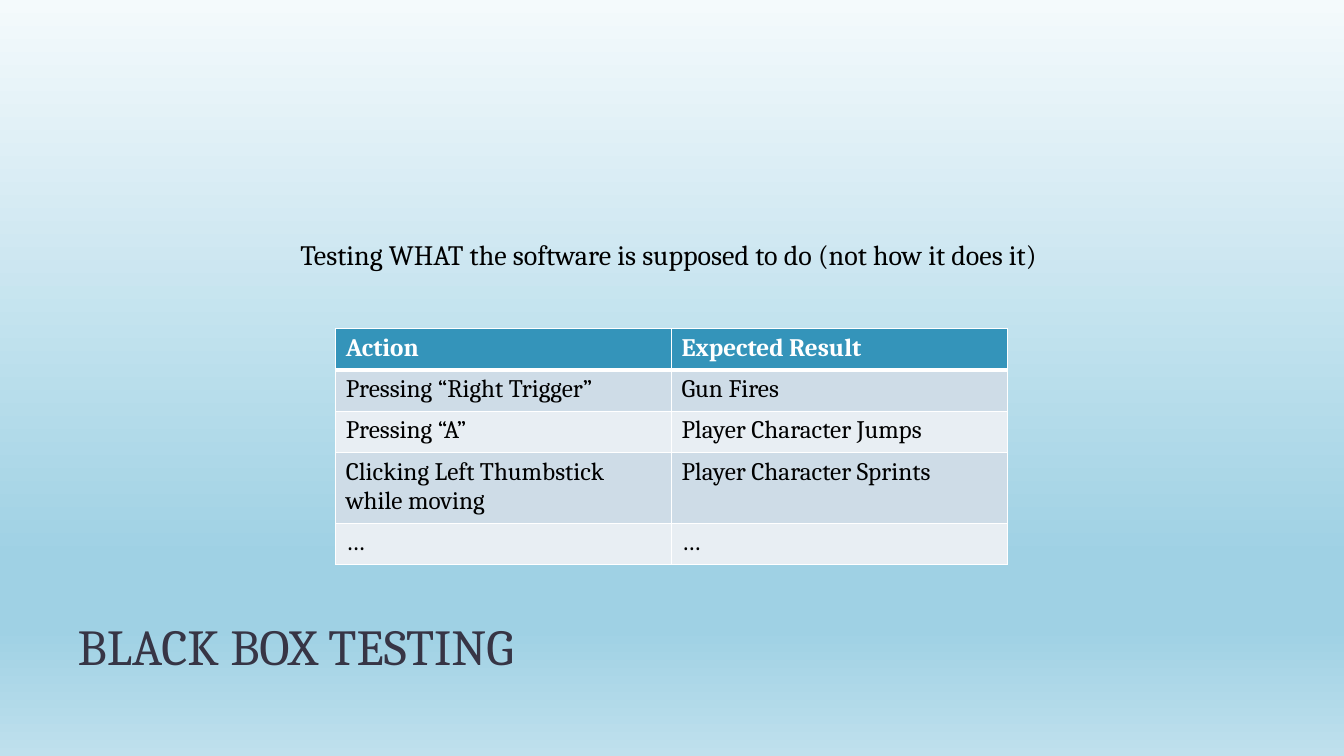
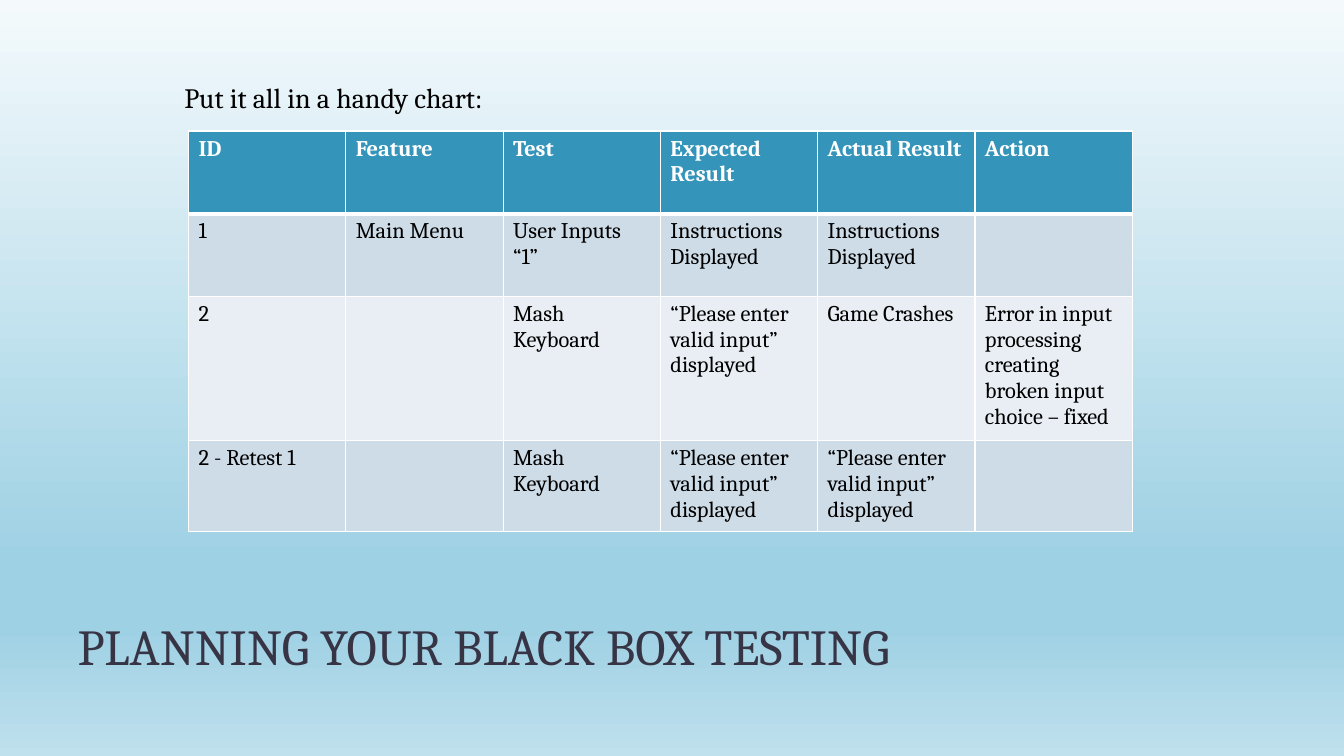
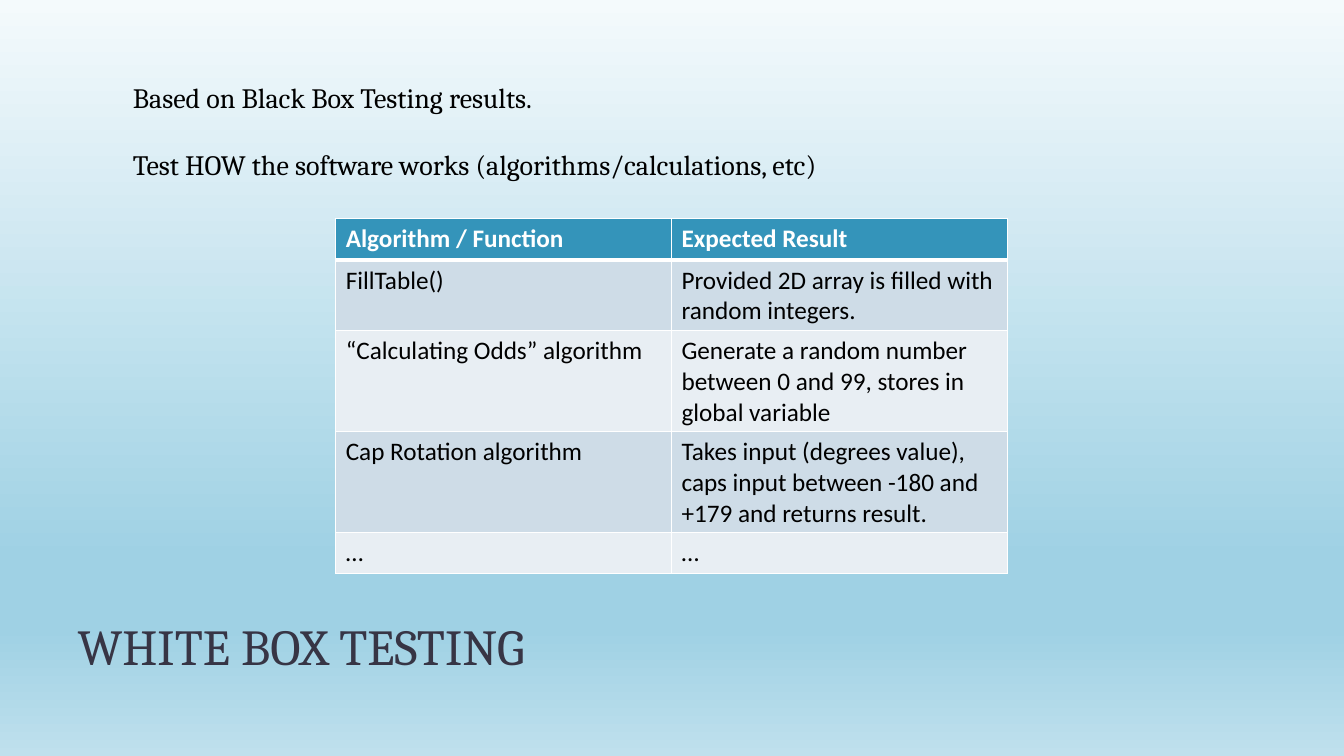
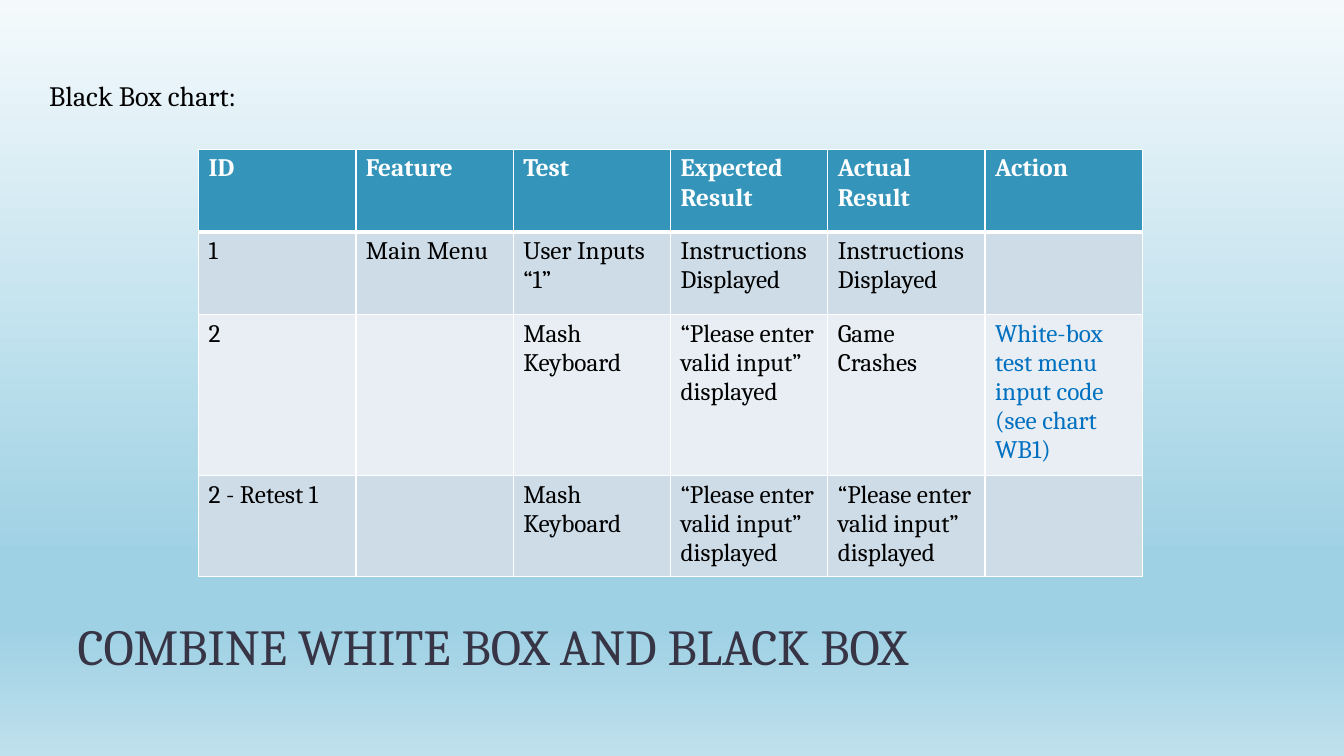
from dataclasses import dataclass

from pptx import Presentation
from pptx.dml.color import RGBColor as RGB
from pptx.enum.text import MSO_ANCHOR, MSO_AUTO_SIZE, PP_ALIGN
from pptx.oxml import parse_xml
from pptx.oxml.ns import nsdecls
from pptx.util import Inches, Pt


@dataclass(frozen=True)
class Theme:
    font: str = "Cambria"
    code_font: str = "Calibri"
    title: str = "373545"
    text: str = "000000"
    white: str = "FFFFFF"
    header: str = "3494BA"
    bands: tuple = ("CEDCE7", "E8EEF3")
    highlight: str = "0070C0"
    sky: tuple = ((0, "F4FAFC"), (74, "9FD1E4"), (83, "9FD1E4"), (100, "BFE0ED"))
    title_size: int = 36
    text_size: int = 20
    table_size: int = 18
    small_size: int = 16


T = Theme()


def set_font(p, size, color, name=T.font, bold=False):
    f = p.font
    f.name, f.size, f.bold = name, Pt(size), bold
    f.color.rgb = RGB.from_string(color)


def add_grid(s, rows, x, y, col_w, row_h, size=T.table_size, name=T.font, accents=()):
    """Add a banded table; accents lists the (row, column) cells in highlight colour."""
    n_rows, n_cols = len(rows), len(rows[0])
    tbl = s.shapes.add_table(n_rows, n_cols, Inches(x), Inches(y),
                             Inches(col_w * n_cols), Inches(row_h * n_rows)).table
    for i, row in enumerate(rows):
        fill = T.bands[(i - 1) % 2] if i else T.header
        # A heavy rule separates the header from the body
        widths = {"L": 1, "R": 1, "T": 3 if i == 1 else 1, "B": 1 if i else 3}
        for j, text in enumerate(row):
            cell = tbl.cell(i, j)
            cell.text = text
            color = T.highlight if (i, j) in accents else T.text if i else T.white
            set_font(cell.text_frame.paragraphs[0], size, color, name, bold=i == 0)
            tc_pr = cell._tc.get_or_add_tcPr()
            for side, width in widths.items():
                tc_pr.append(parse_xml(
                    f'<a:ln{side} {nsdecls("a")} w="{Pt(width)}"><a:solidFill>'
                    f'<a:srgbClr val="{T.white}"/></a:solidFill></a:ln{side}>'))
            cell.fill.solid()
            cell.fill.fore_color.rgb = RGB.from_string(fill)


prs = Presentation()
prs.slide_width, prs.slide_height = Inches(13.33), Inches(7.5)

# Shared background gradient on the master, running top to bottom
sky = prs.slide_master.background.fill
sky.gradient()
sky.gradient_angle = 270
stops = sky._fill._gradFill.gsLst
for stop in list(stops):
    stops.remove(stop)
for pos, color in T.sky:
    stops.append(parse_xml(f'<a:gs {nsdecls("a")} pos="{pos * 1000}">'
                           f'<a:srgbClr val="{color}"/></a:gs>'))

# Titles and lead text: (title, lines, left, top, width)
pages = [
    ("BLACK BOX TESTING",
     ["Testing WHAT the software is supposed to do (not how it does it)"], 2.88, 2.31, 7.95),
    ("PLANNING YOUR BLACK BOX TESTING", ["Put it all in a handy chart:"], 1.73, 0.75, 7.07),
    ("WHITE BOX TESTING",
     ["Based on Black Box Testing results.",
      "Test HOW the software works (algorithms/calculations, etc)"], 1.22, 0.75, 7.36),
    ("COMBINE WHITE BOX AND BLACK BOX", ["Black Box chart:"], 0.39, 0.73, 7.07),
]
slides = []
for title, lines, x, y, w in pages:
    s = prs.slides.add_slide(prs.slide_layouts[5])
    slides.append(s)

    sp = s.shapes.title
    sp.left, sp.top, sp.width, sp.height = Inches(0.67), Inches(5.58), Inches(12), Inches(1.17)
    tf = sp.text_frame
    tf.text = title
    tf.word_wrap = True
    tf.auto_size = MSO_AUTO_SIZE.NONE
    tf.vertical_anchor = MSO_ANCHOR.BOTTOM
    p = tf.paragraphs[0]
    p.alignment, p.line_spacing = PP_ALIGN.LEFT, 0.8
    set_font(p, T.title_size, T.title)

    tf = s.shapes.add_textbox(Inches(x), Inches(y), Inches(w), Inches(0.77)).text_frame
    tf.word_wrap = True
    tf.text = "\n".join(lines)
    for i, p in enumerate(tf.paragraphs):
        set_font(p, T.text_size, T.text)
        p.space_before = Pt(24 if i else 0)

black_box, planning, white_box, combined = slides

# Black box testing: actions and results
add_grid(black_box, [
    ["Action", "Expected Result"],
    ["Pressing “Right Trigger”", "Gun Fires"],
    ["Pressing “A”", "Player Character Jumps"],
    ["Clicking Left Thumbstick while moving", "Player Character Sprints"],
    ["…", "…"],
], 3.33, 3.26, 3.33, 0.41)

# White box testing: functions and results
add_grid(white_box, [
    ["Algorithm / Function", "Expected Result"],
    ["FillTable()", "Provided 2D array is filled with random integers."],
    ["“Calculating Odds” algorithm",
     "Generate a random number between 0 and 99, stores in global variable"],
    ["Cap Rotation algorithm",
     "Takes input (degrees value), caps input between -180 and +179 and returns result."],
    ["…", "…"],
], 3.33, 2.17, 3.33, 0.41, name=T.code_font)

# Test log shown twice, with a different action for the failed test
prompt = "“Please enter valid input” displayed"
menu = "Instructions Displayed"
for s, action, x, y, size, accents in [
    (planning, "Error in input processing creating broken input choice – fixed",
     1.87, 1.3, T.small_size, ()),
    (combined, "White-box test menu input code (see chart WB1)",
     1.97, 1.48, T.table_size, [(2, 5)]),
]:
    add_grid(s, [
        ["ID", "Feature", "Test", "Expected Result", "Actual Result", "Action"],
        ["1", "Main Menu", "User Inputs “1”", menu, menu, ""],
        ["2", "", "Mash Keyboard", prompt, "Game Crashes", action],
        ["2 - Retest 1", "", "Mash Keyboard", prompt, prompt, ""],
    ], x, y, 1.56, 0.82, size, accents=accents)

prs.save("out.pptx")
